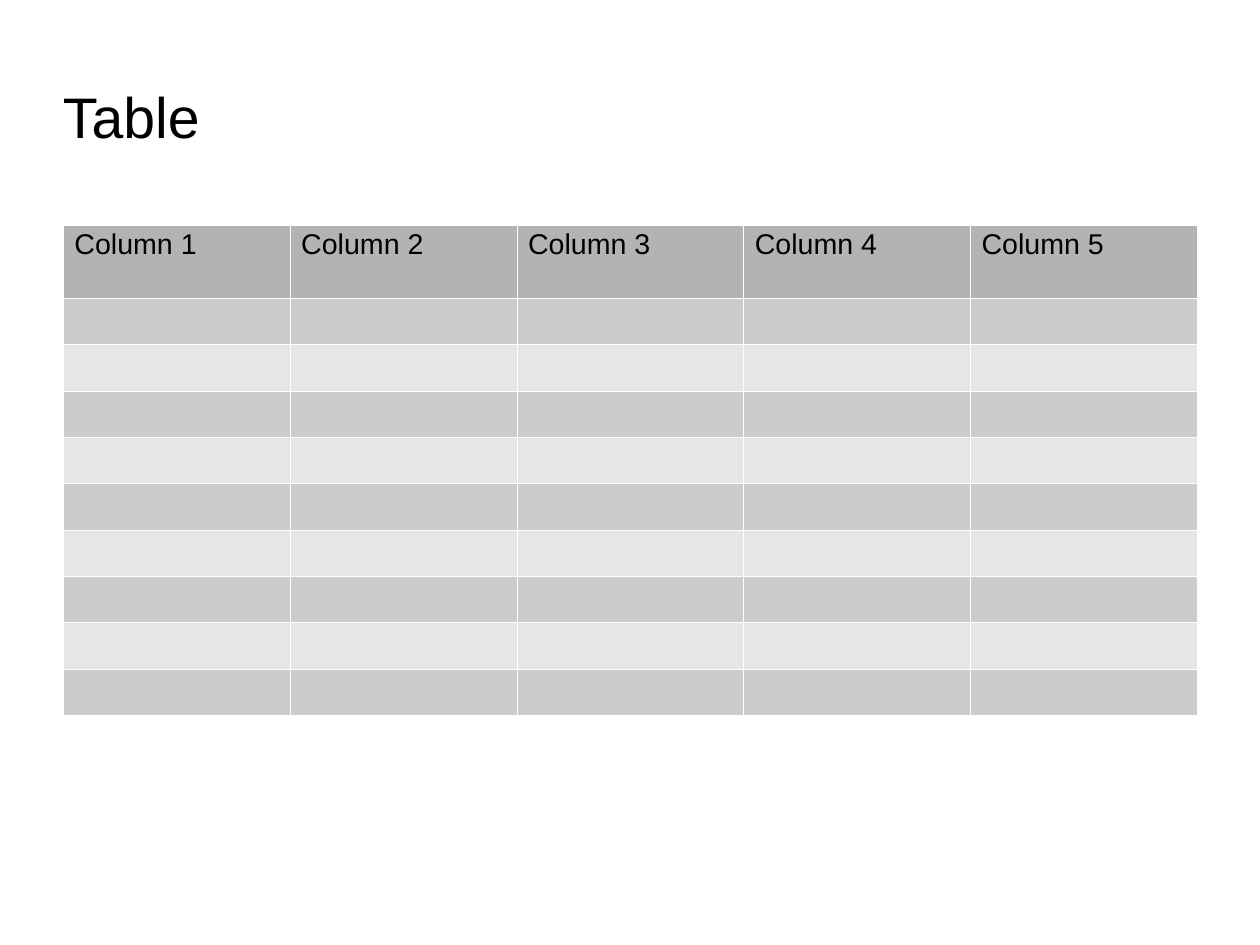
"""Build a slide with a title and a banded grey table."""
from dataclasses import dataclass

from lxml.etree import SubElement
from pptx import Presentation
from pptx.dml.color import RGBColor as Rgb
from pptx.enum.text import MSO_ANCHOR as Anchor, MSO_AUTO_SIZE as Fit, PP_ALIGN as Align
from pptx.oxml.ns import qn
from pptx.slide import Slide
from pptx.table import _Cell as Cell
from pptx.text.text import _Paragraph as Para
from pptx.util import Cm, Pt


@dataclass(frozen=True)
class Theme:
    font: str = "Arial"
    ink: str = "000000"
    head: str = "B3B3B3"
    bands: tuple[str, str] = ("CCCCCC", "E6E6E6")
    rule: str = "FFFFFF"
    thin: float = 0.06
    title: int = 36
    body: int = 18
    lead: float = 0.94


@dataclass(frozen=True)
class Grid:
    left: float
    top: float
    width: float
    first: float
    rest: float
    heads: tuple[str, ...]
    blanks: int


THEME = Theme()
GRID = Grid(1.4, 5, 25.2, 1.62, 1.01, tuple(f"Column {n}" for n in range(1, 6)), 9)


def style(para: Para, size: int) -> None:
    para.line_spacing = THEME.lead
    for run in para.runs:
        run.font.name = THEME.font
        run.font.size = Pt(size)
        run.font.color.rgb = Rgb.from_string(THEME.ink)


def edge(cell: Cell) -> None:
    props = cell._tc.get_or_add_tcPr()
    for spot, side in enumerate(("a:lnL", "a:lnR", "a:lnT", "a:lnB")):
        line = props.makeelement(qn(side), {"w": str(Pt(THEME.thin))})
        fill = SubElement(line, qn("a:solidFill"))
        SubElement(fill, qn("a:srgbClr"), val=THEME.rule)
        props.insert(spot, line)


def paint(cell: Cell, text: str, tone: str) -> None:
    cell.text_frame.text = text
    style(cell.text_frame.paragraphs[0], THEME.body)
    cell.fill.solid()
    cell.fill.fore_color.rgb = Rgb.from_string(tone)
    edge(cell)


def add_title(slide: Slide, text: str) -> None:
    title = slide.shapes.title
    title.left, title.top = Cm(GRID.left), Cm(1.6)
    title.width, title.height = Cm(20), Cm(2)
    frame = title.text_frame
    frame.text = text
    frame.auto_size = Fit.NONE
    frame.vertical_anchor = Anchor.MIDDLE
    frame.margin_left = frame.margin_right = frame.margin_bottom = 0
    frame.margin_top = Cm(0.08)
    para = frame.paragraphs[0]
    para.alignment = Align.LEFT
    style(para, THEME.title)


def add_grid(slide: Slide, grid: Grid) -> None:
    high = grid.first + grid.blanks * grid.rest
    table = slide.shapes.add_table(
        grid.blanks + 1, len(grid.heads),
        Cm(grid.left), Cm(grid.top), Cm(grid.width), Cm(high),
    ).table
    table.first_row = table.horz_banding = False
    for num, row in enumerate(table.rows):
        row.height = Cm(grid.rest if num else grid.first)
        tone = THEME.bands[(num - 1) % 2] if num else THEME.head
        for cell, head in zip(row.cells, grid.heads):
            paint(cell, "" if num else head, tone)


def main() -> None:
    deck = Presentation()
    deck.slide_width, deck.slide_height = Cm(28), Cm(21)
    slide = deck.slides.add_slide(deck.slide_layouts[5])
    add_title(slide, "Table")
    add_grid(slide, GRID)
    deck.save("out.pptx")


main()
